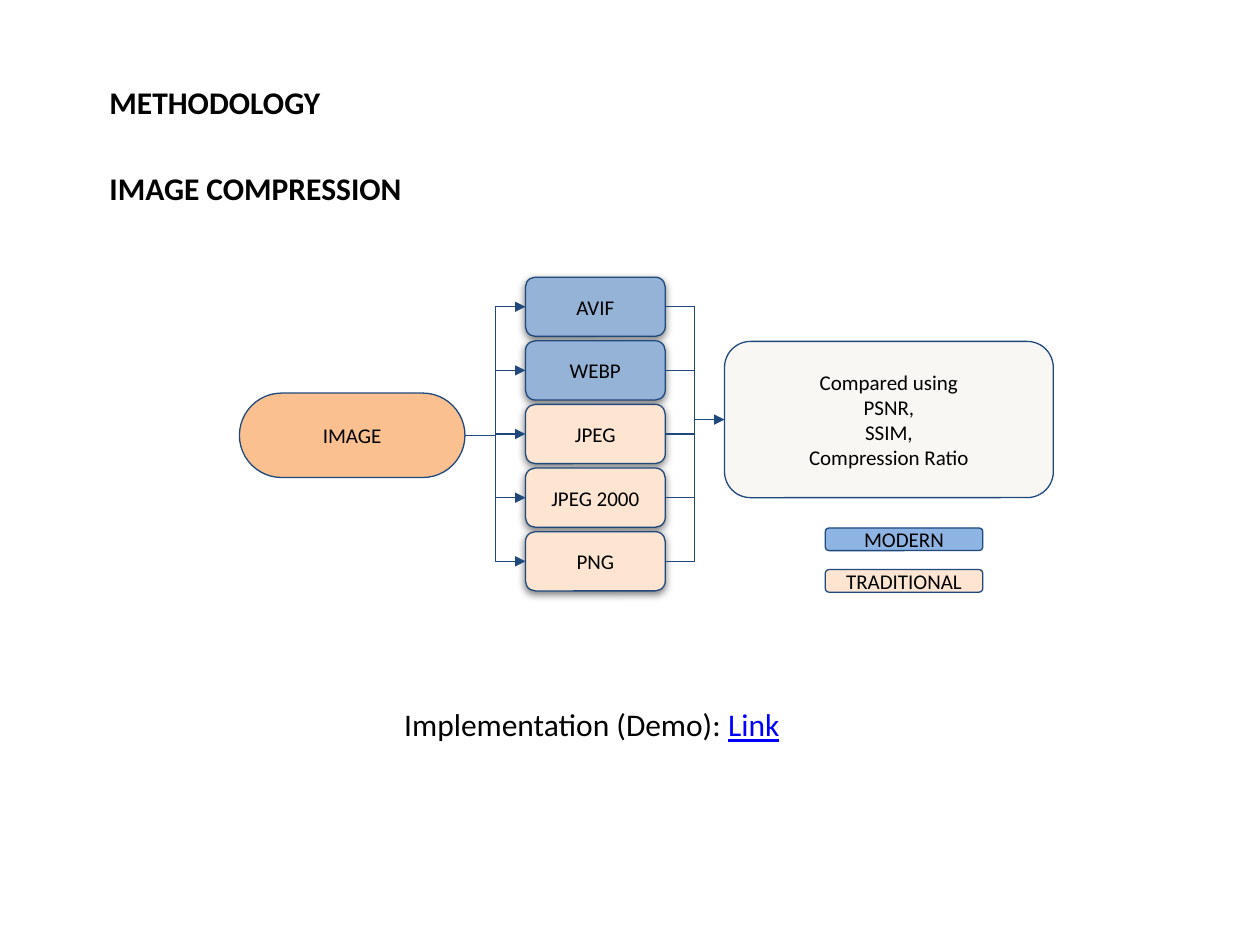
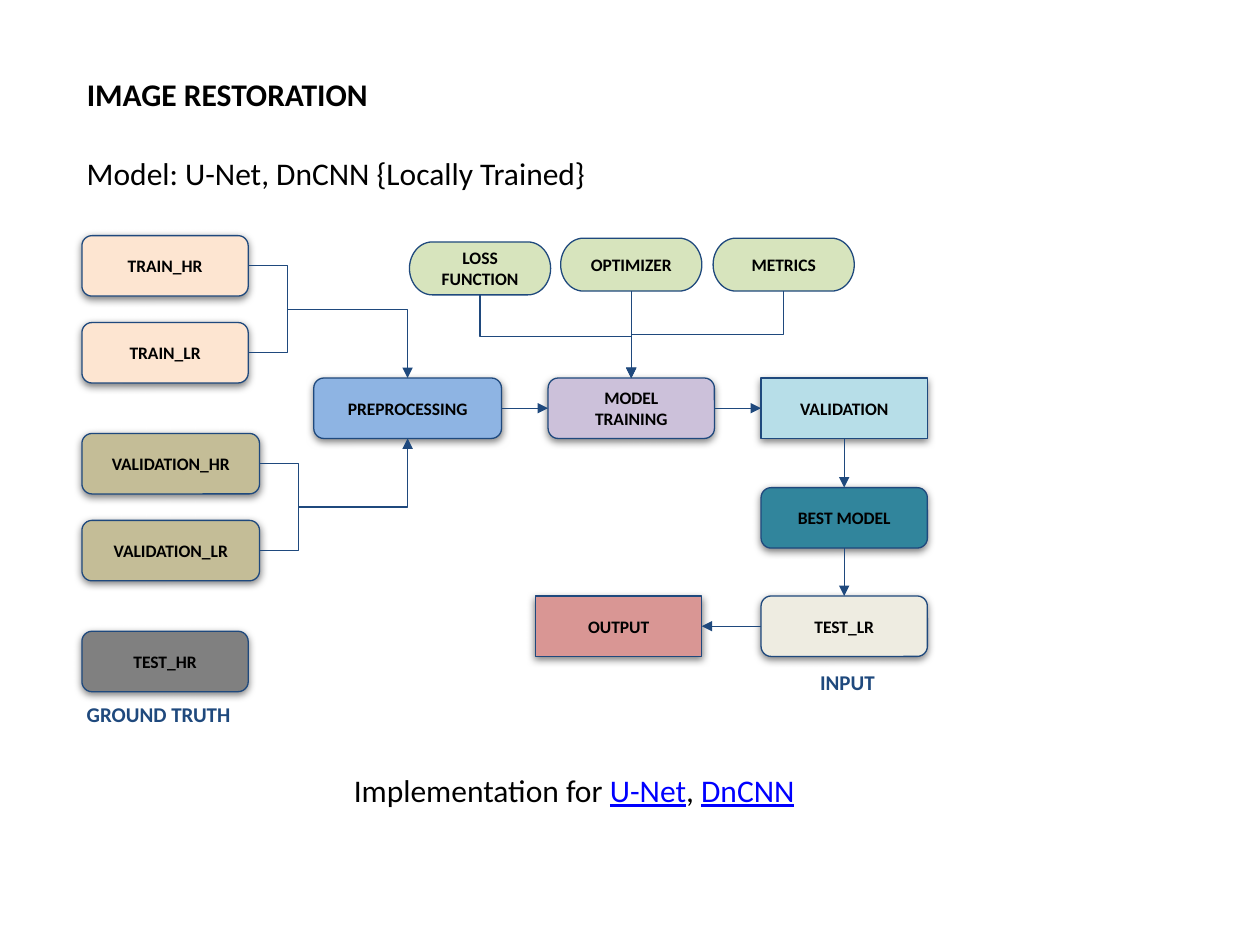
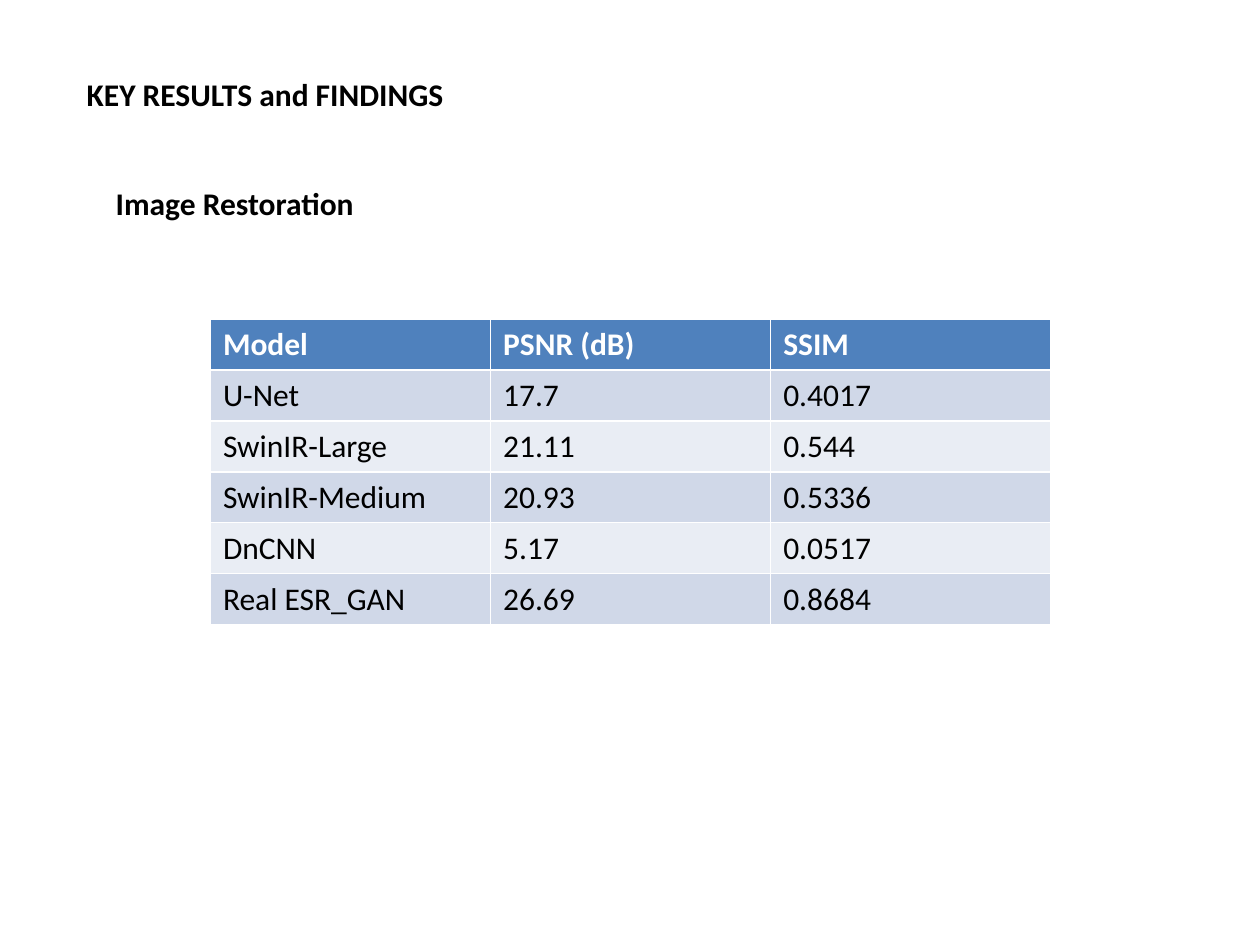
"""Build three slides on image compression, restoration and their results."""
from dataclasses import dataclass

from lxml import etree
from pptx import Presentation
from pptx import util as u
from pptx.dml.color import RGBColor
from pptx.enum import shapes, text
from pptx.oxml import ns
from pptx.shapes.autoshape import Shape
from pptx.shapes.connector import Connector
from pptx.slide import Slide
from pptx.text.text import Font

FONT = "Calibri"
COLORS = {
    "black": "000000", "white": "FFFFFF", "navy": "1F497D", "link": "0000FF",
    "orange": "FAC090", "blue": "95B3D7", "sky": "8EB4E3", "peach": "FDE5D1",
    "paper": "F8F7F3", "khaki": "C4BD97", "gray": "808080", "lilac": "CCC1DA",
    "lime": "D7E4BD", "aqua": "B7DEE8", "teal": "31859C", "cream": "EEECE1",
    "rose": "D99694", "header": "4F81BD", "odd": "D0D8E8", "even": "E9EDF4",
}
ROUND = shapes.MSO_SHAPE.ROUNDED_RECTANGLE
RECTANGLE = shapes.MSO_SHAPE.RECTANGLE
LEGEND = shapes.MSO_SHAPE.FLOWCHART_ALTERNATE_PROCESS
TERMINATOR = shapes.MSO_SHAPE.FLOWCHART_TERMINATOR
TOP, LEFT, BOTTOM, RIGHT = range(4)
Point = tuple[int, int]


@dataclass
class Box:
    """A labelled step of a flow chart, measured in inches."""

    label: str
    left: float
    top: float
    fill: str
    width: float = 1.32
    height: float = 0.48
    kind: shapes.MSO_SHAPE = ROUND
    size: int = 10
    bold: bool = True
    shadow: bool = True
    corner: float | None = None


@dataclass
class Caption:
    """A line of free text, given as (words, color) runs."""

    runs: list[tuple[str, str]]
    left: float
    top: float
    width: float
    bold: bool = False
    size: int = 18
    height: float = 0.4
    margin: float = 0.05


def color(name: str) -> RGBColor:
    """Look up a palette color."""
    return RGBColor.from_string(COLORS[name])


def style_font(font: Font, size: int, color_name: str, bold: bool) -> None:
    """Apply the deck's font with a size, color and weight."""
    font.name, font.size, font.bold = FONT, u.Pt(size), bold
    font.color.rgb = color(color_name)


def add_shadow(shape: Shape) -> None:
    """Give a shape a soft shadow below it."""
    effects = shape.element.spPr.find(ns.qn("a:effectLst"))
    shadow = etree.SubElement(effects, ns.qn("a:outerShdw"), blurRad=str(u.Pt(4.5)),
                              dist=str(u.Pt(1.5)), dir="5400000", rotWithShape="0")
    black = etree.SubElement(shadow, ns.qn("a:srgbClr"), val=COLORS["black"])
    etree.SubElement(black, ns.qn("a:alpha"), val="50000")


def draw_box(slide: Slide, box: Box) -> Shape:
    """Draw a flow chart step."""
    shape = slide.shapes.add_shape(box.kind, u.Inches(box.left), u.Inches(box.top),
                                   u.Inches(box.width), u.Inches(box.height))
    shape.shadow.inherit = False
    shape.fill.solid()
    shape.fill.fore_color.rgb = color(box.fill)
    shape.line.color.rgb = color("navy")
    shape.line.width = u.Pt(0.75)
    if box.corner is not None:
        shape.adjustments[0] = box.corner
    if box.shadow:
        add_shadow(shape)
    frame = shape.text_frame
    frame.word_wrap = True
    frame.vertical_anchor = text.MSO_ANCHOR.MIDDLE
    frame.margin_left = frame.margin_right = u.Inches(0.1)
    frame.margin_top = frame.margin_bottom = u.Inches(0.1)
    frame.text = box.label
    for paragraph in frame.paragraphs:
        paragraph.alignment = text.PP_ALIGN.CENTER
        for run in paragraph.runs:
            style_font(run.font, box.size, "black", box.bold)
    return shape


def draw_caption(slide: Slide, caption: Caption) -> None:
    """Draw a line of text whose link-colored runs are underlined."""
    shape = slide.shapes.add_textbox(u.Inches(caption.left), u.Inches(caption.top),
                                     u.Inches(caption.width), u.Inches(caption.height))
    frame = shape.text_frame
    frame.word_wrap = False
    frame.margin_top = frame.margin_bottom = u.Inches(caption.margin)
    if caption.size == 18:
        frame.auto_size = text.MSO_AUTO_SIZE.SHAPE_TO_FIT_TEXT
    for words, color_name in caption.runs:
        run = frame.paragraphs[0].add_run()
        run.text = words
        style_font(run.font, caption.size, color_name, caption.bold)
        if color_name == "link":
            run.font.underline = True


def heading(words: str, left: float, top: float, width: float) -> Caption:
    """Describe a bold black heading."""
    return Caption([(words, "black")], left, top, width, bold=True)


def side(shape: Shape, site: int) -> Point:
    """Return the middle of one side of a shape."""
    across = (0.5, 0, 0.5, 1)[site]
    down = (0, 0.5, 1, 0.5)[site]
    return (round(shape.left + shape.width * across),
            round(shape.top + shape.height * down))


def style_connector(connector: Connector, arrow: bool) -> None:
    """Set a connector's line, with an arrowhead at its end if wanted."""
    connector.line.color.rgb = color("navy")
    connector.line.width = u.Pt(0.75)
    properties = connector.element.spPr
    if arrow:
        etree.SubElement(properties.find(ns.qn("a:ln")), ns.qn("a:tailEnd"), type="triangle")
    etree.SubElement(properties, ns.qn("a:effectLst"))


def draw_arrow(slide: Slide, source: Shape, source_site: int,
               target: Shape, target_site: int) -> None:
    """Join two shapes with a straight arrow."""
    connector = slide.shapes.add_connector(
        shapes.MSO_CONNECTOR.STRAIGHT, *side(source, source_site), *side(target, target_site))
    connector.begin_connect(source, source_site)
    connector.end_connect(target, target_site)
    style_connector(connector, arrow=True)


def draw_elbow(slide: Slide, begin: Point, end: Point, arrow: bool = False,
               single_bend: bool = False, vertical: bool = False) -> None:
    """Draw a bent connector that leaves sideways, or downwards if vertical."""
    if vertical:
        center_x, center_y = (begin[0] + end[0]) // 2, (begin[1] + end[1]) // 2
        begin, end = ((center_x + y - center_y, center_y - x + center_x)
                      for x, y in (begin, end))
    connector = slide.shapes.add_connector(shapes.MSO_CONNECTOR.ELBOW, *begin, *end)
    properties = connector.element.spPr
    if vertical:
        properties.find(ns.qn("a:xfrm")).set("rot", "5400000")
    if single_bend:
        properties.find(ns.qn("a:prstGeom")).set("prst", "bentConnector2")
    style_connector(connector, arrow)


def build_compression(slide: Slide) -> None:
    """Draw the compression flow from image to comparison."""
    image = draw_box(slide, Box("IMAGE", 1.9, 3.12, "orange", 1.79, 0.67, size=12,
                                bold=False, shadow=False, corner=0.5))
    comparison = draw_box(slide, Box(
        "Compared using\nPSNR,\nSSIM,\nCompression Ratio", 5.75, 2.71, "paper", 2.61, 1.24,
        size=12, bold=False, shadow=False))
    formats = [("AVIF", "blue"), ("WEBP", "blue"), ("JPEG", "peach"),
               ("JPEG 2000", "peach"), ("PNG", "peach")]
    first_top, last_top = 2.2, 4.22
    pitch = (last_top - first_top) / (len(formats) - 1)
    for index, (label, fill) in enumerate(formats):
        codec = draw_box(slide, Box(label, 4.17, first_top + index * pitch, fill, 1.11, 0.47,
                                    size=12, bold=False))
        draw_elbow(slide, side(image, RIGHT), side(codec, LEFT), arrow=True)
        draw_elbow(slide, side(codec, RIGHT), side(comparison, LEFT), arrow=index == 0)
    for label, top, fill in [("MODERN", 4.19, "sky"), ("TRADITIONAL", 4.52, "peach")]:
        draw_box(slide, Box(label, 6.55, top, fill, 1.25, 0.18, LEGEND, 12, False, False))
    for caption in [
        heading("METHODOLOGY", 0.77, 0.61, 1.89),
        heading("IMAGE COMPRESSION", 0.77, 1.29, 2.54),
        Caption([("Implementation (Demo): ", "black"), ("Link", "link")], 3.11, 5.55, 3.22),
    ]:
        draw_caption(slide, caption)


def build_restoration(slide: Slide) -> None:
    """Draw the training and testing flow of the restoration models."""
    preprocessing = draw_box(slide, Box("PREPROCESSING", 2.49, 3, "sky", 1.49))
    training = draw_box(slide, Box("MODEL\vTRAINING", 4.35, 3, "lilac"))
    validation = draw_box(slide, Box("VALIDATION", 6.04, 3, "aqua", kind=RECTANGLE))
    best_model = draw_box(slide, Box("BEST MODEL", 6.04, 3.87, "teal"))
    test_input = draw_box(slide, Box("TEST_LR", 6.04, 4.73, "cream"))
    output = draw_box(slide, Box("OUTPUT", 4.25, 4.73, "rose", kind=RECTANGLE))
    draw_box(slide, Box("TEST_HR", 0.65, 5.01, "gray"))

    for name, top, fill, width, entry in [("TRAIN", 1.87, "peach", 1.32, TOP),
                                          ("VALIDATION", 3.44, "khaki", 1.41, BOTTOM)]:
        pair = [draw_box(slide, Box(f"{name}_{quality}", 0.65, top + 0.69 * index, fill, width))
                for index, quality in enumerate(("HR", "LR"))]
        ends = [side(shape, RIGHT) for shape in pair]
        junction = (ends[0][0] + u.Inches(0.31), (ends[0][1] + ends[1][1]) // 2)
        for end in ends:
            draw_elbow(slide, end, junction, single_bend=True)
        draw_elbow(slide, junction, side(preprocessing, entry), arrow=True, single_bend=True)

    loss, optimizer, metrics = [
        draw_box(slide, Box(label, left, top, "lime", 1.12, 0.42, TERMINATOR, shadow=False))
        for label, left, top in [("LOSS FUNCTION", 3.25, 1.92), ("OPTIMIZER", 4.45, 1.89),
                                 ("METRICS", 5.66, 1.89)]]
    for setting in (loss, metrics):
        draw_elbow(slide, side(setting, BOTTOM), side(training, TOP), arrow=True, vertical=True)
    for source, source_site, target, target_site in [
        (optimizer, BOTTOM, training, TOP),
        (preprocessing, RIGHT, training, LEFT),
        (training, RIGHT, validation, LEFT),
        (validation, BOTTOM, best_model, TOP),
        (best_model, BOTTOM, test_input, TOP),
        (test_input, LEFT, output, RIGHT),
    ]:
        draw_arrow(slide, source, source_site, target, target_site)

    for caption in [
        heading("IMAGE RESTORATION", 0.59, 0.55, 2.45),
        Caption([("Model: U-Net, DnCNN {Locally Trained}", "black")], 0.59, 1.17, 4.26),
        Caption([("INPUT", "navy")], 6.41, 5.21, 1.12, True, 12, 0.42, 0.1),
        Caption([("GROUND TRUTH", "navy")], 0.59, 5.47, 1.73, True, 12, 0.42, 0.1),
        Caption([("Implementation for ", "black"), ("U-Net", "link"), (", ", "black"),
                 ("DnCNN", "link")], 2.71, 6.07, 3.74),
    ]:
        draw_caption(slide, caption)


def build_results(slide: Slide) -> None:
    """Draw the table of restoration scores."""
    draw_caption(slide, heading("KEY RESULTS and FINDINGS", 0.59, 0.55, 3.06))
    draw_caption(slide, heading("Image Restoration", 0.82, 1.41, 2.11))
    scores = [
        ("Model", "PSNR (dB)", "SSIM"),
        ("U-Net", "17.7", "0.4017"),
        ("SwinIR-Large", "21.11", "0.544"),
        ("SwinIR-Medium", "20.93", "0.5336"),
        ("DnCNN", "5.17", "0.0517"),
        ("Real ESR_GAN", "26.69", "0.8684"),
    ]
    table = slide.shapes.add_table(len(scores), len(scores[0]), u.Inches(1.67), u.Inches(2.53),
                                   u.Inches(6.67), u.Inches(2.43)).table
    for row, values in enumerate(scores):
        is_header = row == 0
        fill = "header" if is_header else ("even", "odd")[row % 2]
        for column, value in enumerate(values):
            cell = table.cell(row, column)
            cell.fill.solid()
            cell.fill.fore_color.rgb = color(fill)
            cell.text_frame.text = value
            style_font(cell.text_frame.paragraphs[0].runs[0].font, 18,
                       "white" if is_header else "black", is_header)


def main() -> None:
    """Build and save the presentation."""
    presentation = Presentation()
    presentation.slide_width, presentation.slide_height = u.Inches(10), u.Inches(7.5)
    for build in (build_compression, build_restoration, build_results):
        build(presentation.slides.add_slide(presentation.slide_layouts[6]))
    presentation.save("out.pptx")


if __name__ == "__main__":
    main()
